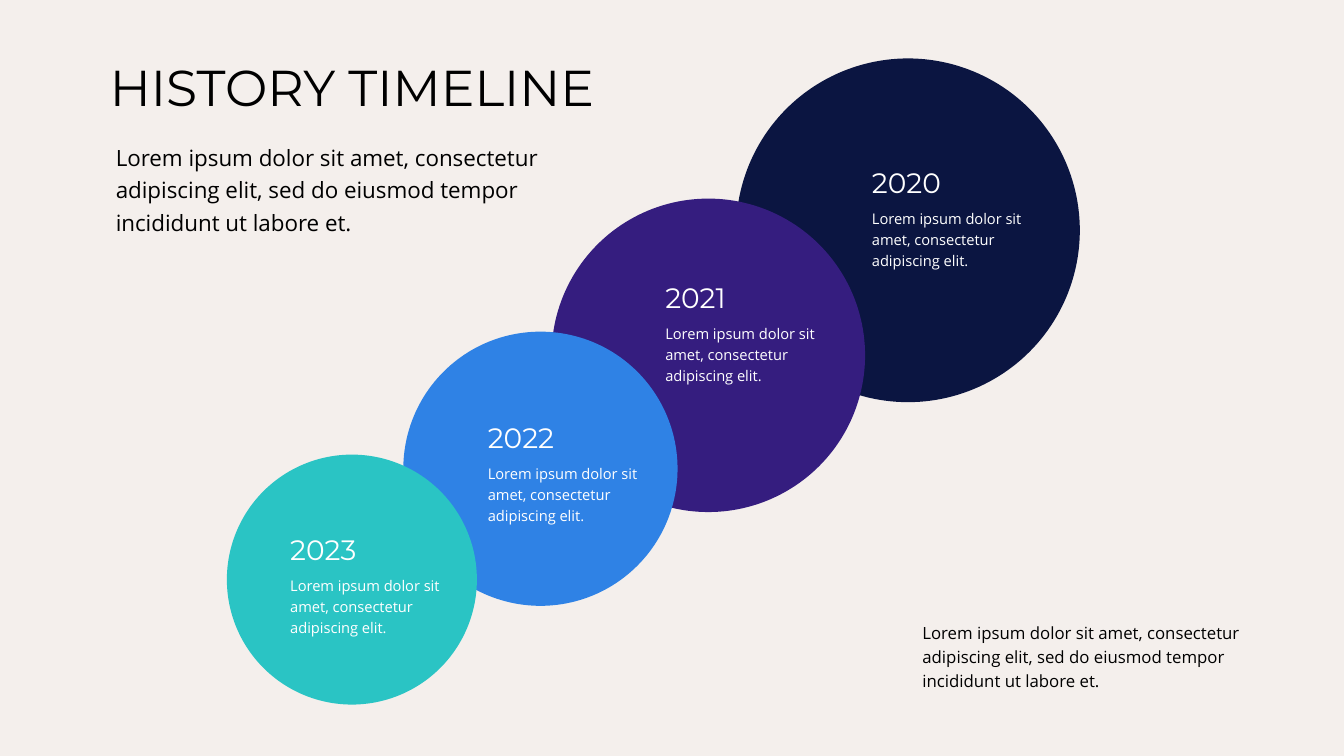
import pptx
import pptx.util
import pptx.dml.color
import pptx.enum.shapes
import pptx.enum.text
from dataclasses import dataclass

Inches = pptx.util.Inches


@dataclass(frozen=True)
class Theme:
    background: str = "F4EFEC"
    dark: str = "000000"
    light: str = "FFFFFF"
    heading_font: str = "Montserrat"
    body_font: str = "Open Sans"
    title_size: float = 36
    year_size: float = 20
    intro_size: float = 16
    closing_size: float = 12
    detail_size: float = 10.5
    body_spacing: float = 1.2


LONG_TEXT = ("Lorem ipsum dolor sit amet, consectetur adipiscing elit, "
             "sed do eiusmod tempor incididunt ut labore et.")
DETAIL_TEXT = "Lorem ipsum dolor sit amet, consectetur adipiscing elit."
DETAIL_OFFSET = 0.41

# year, colour, circle (left, top, diameter), label (left, top), year and detail widths
MILESTONES = [
    ("2020", "0B1541", (7.3, 0.58, 3.41), (8.55, 1.59), 1.6, 1.96),
    ("2021", "351D7F", (5.47, 1.97, 3.11), (6.5, 2.73), 1.29, 1.81),
    ("2022", "2F82E5", (4, 3.29, 2.72), (4.74, 4.12), 1.29, 1.93),
    ("2023", "2AC4C4", (2.25, 4.51, 2.48), (2.78, 5.23), 1.29, 1.81),
]


def rgb(value):
    return pptx.dml.color.RGBColor.from_string(value)


def apply_format(target, values):
    for attribute, value in values.items():
        setattr(target, attribute, value)


class TimelineSlide:
    def __init__(self, presentation, theme):
        self.theme = theme
        self.slide = presentation.slides.add_slide(presentation.slide_layouts[5])
        fill = self.slide.background.fill
        fill.solid()
        fill.fore_color.rgb = rgb(theme.background)

    def set_text(self, box, text, size, font, color, spacing):
        frame = box.text_frame
        frame.text = text
        apply_format(frame, {
            "word_wrap": True,
            "auto_size": pptx.enum.text.MSO_AUTO_SIZE.SHAPE_TO_FIT_TEXT,
            "vertical_anchor": pptx.enum.text.MSO_ANCHOR.TOP,
        })
        paragraph = frame.paragraphs[0]
        apply_format(paragraph, {
            "alignment": pptx.enum.text.PP_ALIGN.LEFT,
            "line_spacing": spacing,
        })
        apply_format(paragraph.runs[0].font, {"name": font, "size": pptx.util.Pt(size)})
        paragraph.runs[0].font.color.rgb = rgb(color)

    def title(self, text, left, top, width, height):
        placeholder = self.slide.shapes.title
        apply_format(placeholder, {
            "left": Inches(left), "top": Inches(top),
            "width": Inches(width), "height": Inches(height),
        })
        self.set_text(placeholder, text, self.theme.title_size,
                      self.theme.heading_font, self.theme.dark, 1.0)

    def heading(self, shapes, text, left, top, width, height):
        box = shapes.add_textbox(*map(Inches, (left, top, width, height)))
        self.set_text(box, text, self.theme.year_size,
                      self.theme.heading_font, self.theme.light, 1.0)

    def body(self, shapes, text, size, color, left, top, width, height):
        box = shapes.add_textbox(*map(Inches, (left, top, width, height)))
        self.set_text(box, text, size, self.theme.body_font, color,
                      self.theme.body_spacing)

    def circle(self, shapes, color, left, top, diameter):
        disc = shapes.add_shape(pptx.enum.shapes.MSO_SHAPE.OVAL,
                                *map(Inches, (left, top, diameter, diameter)))
        disc.shadow.inherit = False
        disc.fill.solid()
        disc.fill.fore_color.rgb = rgb(color)
        disc.line.fill.background()

    def timeline(self, milestones):
        """Stack all circles first so that every label stays in front."""
        shapes = self.slide.shapes.add_group_shape().shapes
        for _, color, place, *_ in milestones:
            self.circle(shapes, color, *place)
        for year, _, _, (left, top), year_width, detail_width in milestones:
            self.heading(shapes, year, left, top, year_width, 0.41)
            self.body(shapes, DETAIL_TEXT, self.theme.detail_size, self.theme.light,
                      left, top + DETAIL_OFFSET, detail_width, 0.72)


def main():
    presentation = pptx.Presentation()
    presentation.slide_width = Inches(13.33)
    presentation.slide_height = Inches(7.5)
    theme = Theme()
    page = TimelineSlide(presentation, theme)
    page.title("HISTORY TIMELINE", 0.99, 0.51, 6.16, 0.71)
    page.body(page.slide.shapes, LONG_TEXT, theme.intro_size, theme.dark,
              1.05, 1.33, 5.04, 1.05)
    page.timeline(MILESTONES)
    page.body(page.slide.shapes, LONG_TEXT, theme.closing_size, theme.dark,
              9.05, 6.09, 3.35, 0.81)
    presentation.save("out.pptx")


if __name__ == "__main__":
    main()
